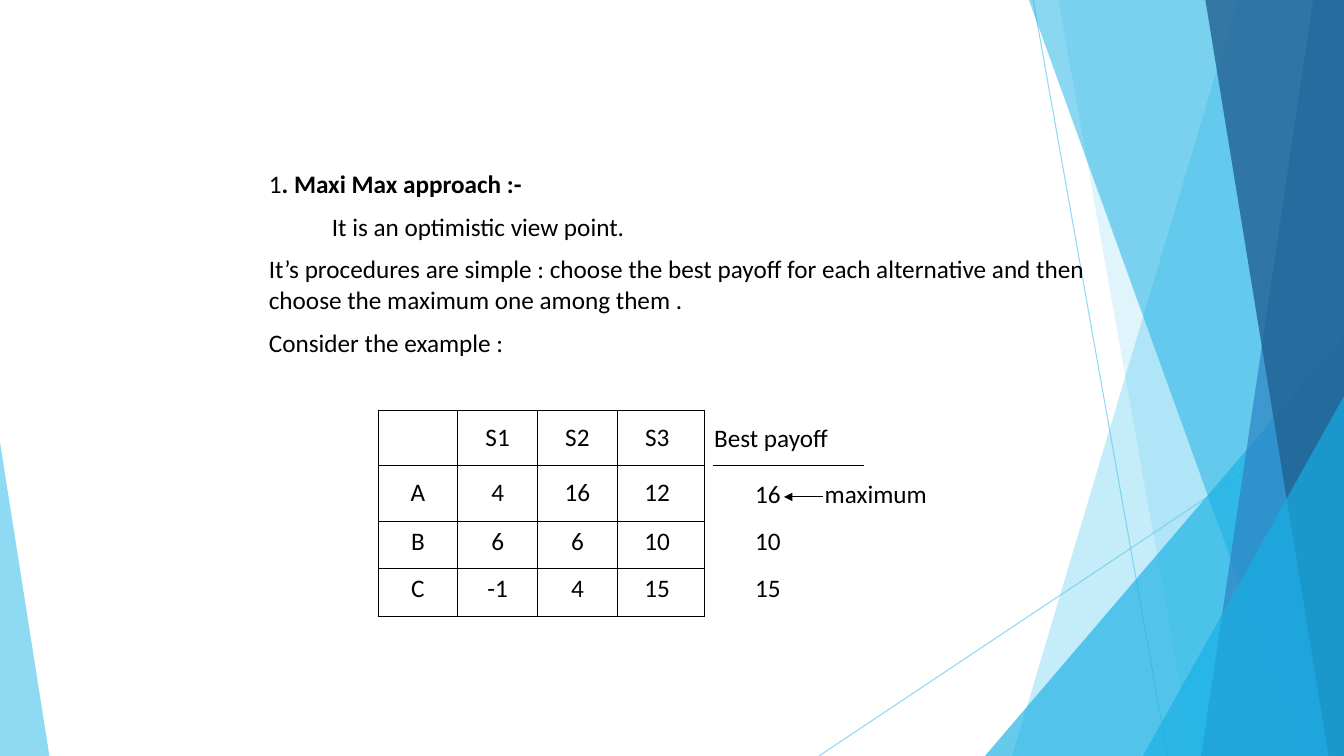
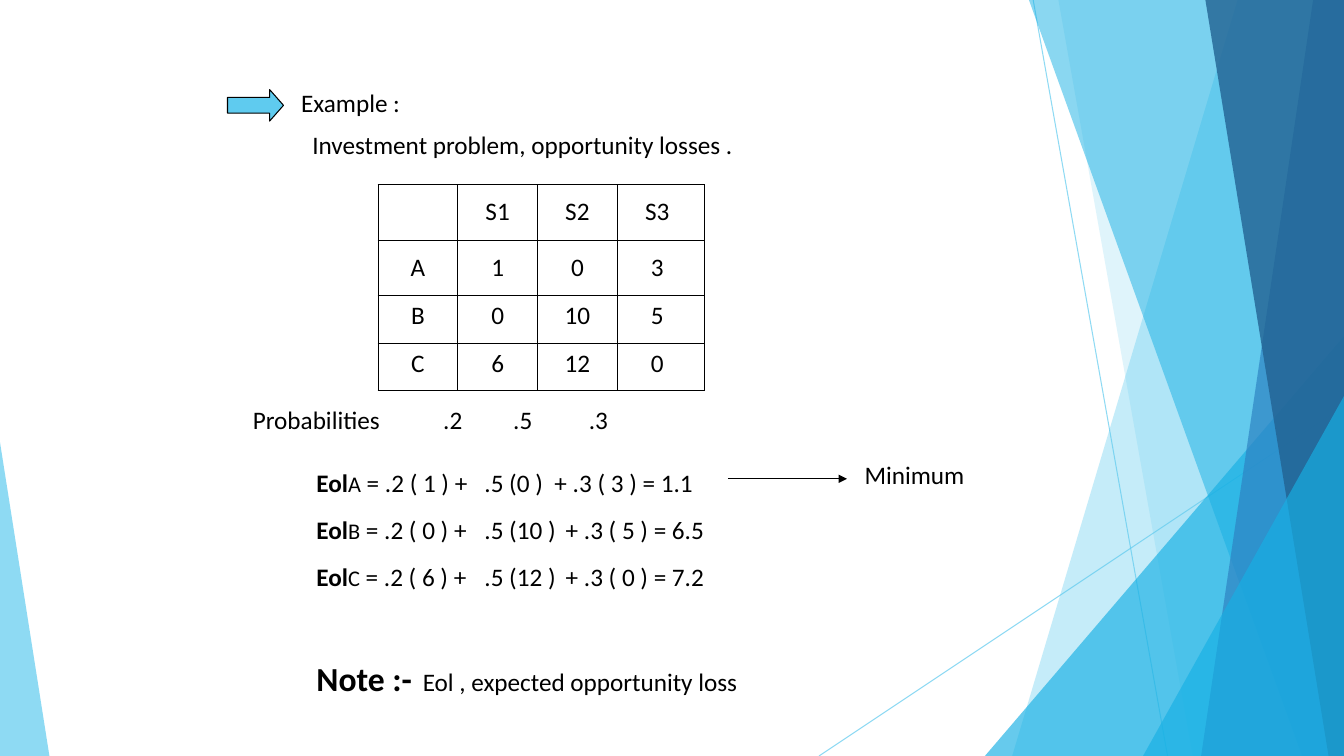
"""Build two slides on decision criteria: maximax and expected opportunity loss."""
import pptx
import pptx.dml.color
import pptx.enum.shapes
import pptx.enum.text
import pptx.oxml.ns
import pptx.util
from lxml import etree

Pt = pptx.util.Pt
SHAPE = pptx.enum.shapes.MSO_SHAPE
ALIGN = pptx.enum.text.PP_ALIGN
qn = pptx.oxml.ns.qn
WIDTH, HEIGHT = 960, 540
FONT = "Calibri"
SIZE = 18
COLORS = {"text": "000000", "sky": "5FCBEF", "cyan": "17B0E4", "blue": "2E83C3", "navy": "226292"}
COLUMNS = (57, 57, 57, 62)
ROWS = ((39.6, 8.6), (39.6, 8.6), (34, 3.6), (34, 3.6))


def rgb(name):
    """Return the named colour."""
    return pptx.dml.color.RGBColor.from_string(COLORS[name])


def paint(fill, color, opacity=100):
    """Fill with a solid colour at an opacity in percent."""
    fill.solid()
    fill.fore_color.rgb = rgb(color)
    if opacity < 100:
        for clr in fill.fore_color._xFill.iter(qn("a:srgbClr")):
            etree.SubElement(clr, qn("a:alpha"), val=str(opacity * 1000))


def line(s, start, end, color="text", opacity=100, arrow=False):
    """Draw a thin straight line, with an arrowhead at its end if asked."""
    c = s.shapes.add_connector(pptx.enum.shapes.MSO_CONNECTOR.STRAIGHT,
                               *(Pt(v) for v in (*start, *end)))
    c.line.width = Pt(0.75)
    paint(c.line.fill, color, opacity)
    if arrow:
        etree.SubElement(c.line._get_or_add_ln(), qn("a:tailEnd"), type="triangle")
    etree.SubElement(c._element.spPr, qn("a:effectLst"))
    return c


def facet(sp, color, opacity):
    """Give a decoration shape its flat translucent look."""
    sp.shadow.inherit = False
    paint(sp.fill, color, opacity)
    sp.line.fill.background()
    return sp


def band(s, top, bottom, color, opacity):
    """Draw a band from a slanted left edge to the right side of the slide."""
    fb = s.shapes.build_freeform(top, 0, scale=Pt(1))
    fb.add_line_segments([(WIDTH, 0), (WIDTH, HEIGHT), (bottom, HEIGHT)], close=True)
    return facet(fb.convert_to_shape(), color, opacity)


def corner(s, x, y, w, apex, color, opacity):
    """Draw a triangle that stands on the bottom of the slide."""
    sp = s.shapes.add_shape(SHAPE.ISOSCELES_TRIANGLE, Pt(x), Pt(y), Pt(w), Pt(HEIGHT - y))
    sp.adjustments[0] = apex
    return facet(sp, color, opacity)


def decorate_layout(s):
    """Draw the facets and hand them to the layout that all slides share."""
    layout = s.slide_layout
    for ph in list(layout.placeholders):
        layout.shapes.element.remove(ph.element)
    parts = [
        line(s, (738, 0), (834, HEIGHT), "sky", 70),
        line(s, (WIDTH, 290), (585, HEIGHT), "sky", 70),
        band(s, 884, 723, "sky", 36),
        band(s, 756, 852, "sky", 20),
        corner(s, 703.5, 240, 256.5, 1, "cyan", 66),
        band(s, 735, 929.5, "cyan", 50),
        band(s, 938, 858, "blue", 70),
        band(s, 861, 949, "navy", 80),
        corner(s, 816.5, 283, 143.5, 1, "cyan", 66),
        corner(s, 0, 316, 35.3, 0, "sky", 70),
    ]
    for part in parts:
        layout.shapes.element.append(part.element)


def style(r, size=SIZE, bold=False):
    """Set the font of a run."""
    r.font.name, r.font.size, r.font.bold = FONT, Pt(size), bold
    r.font.color.rgb = rgb("text")


def text(s, x, y, w, h, paragraphs, gap=9, align=ALIGN.LEFT):
    """Place paragraphs, each a pair of runs and paragraph settings."""
    tf = s.shapes.add_textbox(Pt(x), Pt(y), Pt(w), Pt(h)).text_frame
    tf.word_wrap = True
    for i, (runs, settings) in enumerate(paragraphs):
        p = tf.add_paragraph() if i else tf.paragraphs[0]
        pPr = p._p.get_or_add_pPr()
        if "indent" in settings:
            pPr.set("indent", str(Pt(settings["indent"])))
        if "tabs" in settings:
            tabs = etree.SubElement(pPr, qn("a:tabLst"))
            for stop in settings["tabs"]:
                etree.SubElement(tabs, qn("a:tab"), pos=str(Pt(stop)), algn="l")
        p.alignment = align
        if i:
            p.space_before = Pt(gap)
        for words, *look in runs:
            r = p.add_run()
            r.text = words
            style(r, *look)


def plain(words, **settings):
    """Return a paragraph of one regular run."""
    return [(words,)], settings


def payoff_table(s, x, y, values):
    """Place a bordered table of alternatives A to C against states S1 to S3."""
    rows = [("", "S1", "S2", "S3")] + [(name, *row) for name, row in zip("ABC", values)]
    table = s.shapes.add_table(len(ROWS), len(COLUMNS), Pt(x), Pt(y), Pt(sum(COLUMNS)),
                               Pt(sum(h for h, _ in ROWS))).table
    table.first_row = table.horz_banding = False
    for col, w in zip(table.columns, COLUMNS):
        col.width = Pt(w)
    for row, (h, top), entries in zip(table.rows, ROWS, rows):
        row.height = Pt(h)
        for cell, w, entry in zip(row.cells, COLUMNS, entries):
            cell.text = str(entry)
            cell.margin_left = cell.margin_bottom = 0
            cell.margin_right, cell.margin_top = Pt(w - COLUMNS[0]), Pt(top)
            p = cell.text_frame.paragraphs[0]
            p.alignment = ALIGN.CENTER
            for r in p.runs:
                style(r)
            tcPr = cell._tc.get_or_add_tcPr()
            for side in ("lnL", "lnR", "lnT", "lnB"):
                ln = etree.SubElement(tcPr, qn("a:" + side), w=str(Pt(0.75)))
                fill = etree.SubElement(ln, qn("a:solidFill"))
                etree.SubElement(fill, qn("a:srgbClr"), val=COLORS["text"])
            cell.fill.background()


def best_payoffs(s, x, y, payoffs):
    """Place the best payoff column, with its maximum marked, beside a table."""
    text(s, x, y + 5, 199, 29, [plain("Best payoff")])
    line(s, (x + 6, y + 39.6), (x + 114, y + 39.6))
    text(s, x + 17, y + 45, 57, 97, [plain(str(v)) for v in payoffs], 12, ALIGN.CENTER)
    text(s, x + 79, y + 45, 193, 29, [plain("maximum")])
    line(s, (x + 85, y + 62), (x + 57, y + 62), arrow=True)


def loss_sums(s, x, y, w, sums):
    """Place the expected loss sums and mark the first as the minimum."""
    text(s, x, y, w, 97, [
        ([("Eol", SIZE, True), (name, 16), (" = " + words,)], {"tabs": (120, stop)})
        for name, words, stop in sums], 12)
    line(s, (x + 301, y + 11.5), (x + 386, y + 11.5), arrow=True)
    text(s, x + 391.5, y - 6, 113, 29, [plain("Minimum")])


def maximax_slide(s):
    """Explain the maximax approach with a payoff table."""
    text(s, 185, 116.5, 607, 148, [
        ([("1",), (". Maxi Max approach :-", SIZE, True)], {}),
        plain("It is an optimistic view point.", indent=45),
        plain("It’s procedures are simple : choose the best payoff for each alternative "
              "and then choose the maximum one among them ."),
        plain("Consider the example :"),
    ])
    payoff_table(s, 270, 293, [(4, 16, 12), (6, 6, 10), (-1, 4, 15)])
    best_payoffs(s, 503, 293, (16, 10, 15))


def loss_slide(s):
    """Work out expected opportunity losses for an investment problem."""
    sp = s.shapes.add_shape(SHAPE.RIGHT_ARROW, Pt(162.5), Pt(64), Pt(40), Pt(22.5))
    sp.adjustments[1] = 0.44
    sp.shadow.inherit = False
    paint(sp.fill, "sky")
    paint(sp.line.fill, "text")
    sp.line.width = Pt(0.75)
    text(s, 208, 58.5, 647, 61, [
        plain("Example :"),
        plain("Investment problem, opportunity losses .", indent=8),
    ])
    payoff_table(s, 270, 132, [(1, 0, 3), (0, 10, 5), (6, 12, 0)])
    text(s, 173.5, 285.5, 567, 29, [plain("Probabilities\t.2\t.5\t.3", tabs=(136, 186, 240))])
    loss_sums(s, 219, 330.5, 623, [
        ("A", ".2 ( 1 ) +\t.5 (0 )\t+ .3 ( 3 ) = 1.1", 170),
        ("B", ".2 ( 0 ) +\t.5 (10 )\t+ .3 ( 5 ) = 6.5", 178),
        ("C", ".2 ( 6 ) +\t.5 (12 )\t+ .3 ( 0 ) = 7.2", 178),
    ])
    text(s, 219, 466.5, 595, 36, [
        ([("Note :-", 24, True), ("\tEol , expected opportunity loss",)], {"tabs": (76,)})])


def main():
    """Build and save the slides."""
    prs = pptx.Presentation()
    prs.slide_width, prs.slide_height = Pt(WIDTH), Pt(HEIGHT)
    slides = [prs.slides.add_slide(prs.slide_layouts[6]) for _ in range(2)]
    decorate_layout(slides[0])
    maximax_slide(slides[0])
    loss_slide(slides[1])
    prs.save("out.pptx")


if __name__ == "__main__":
    main()
